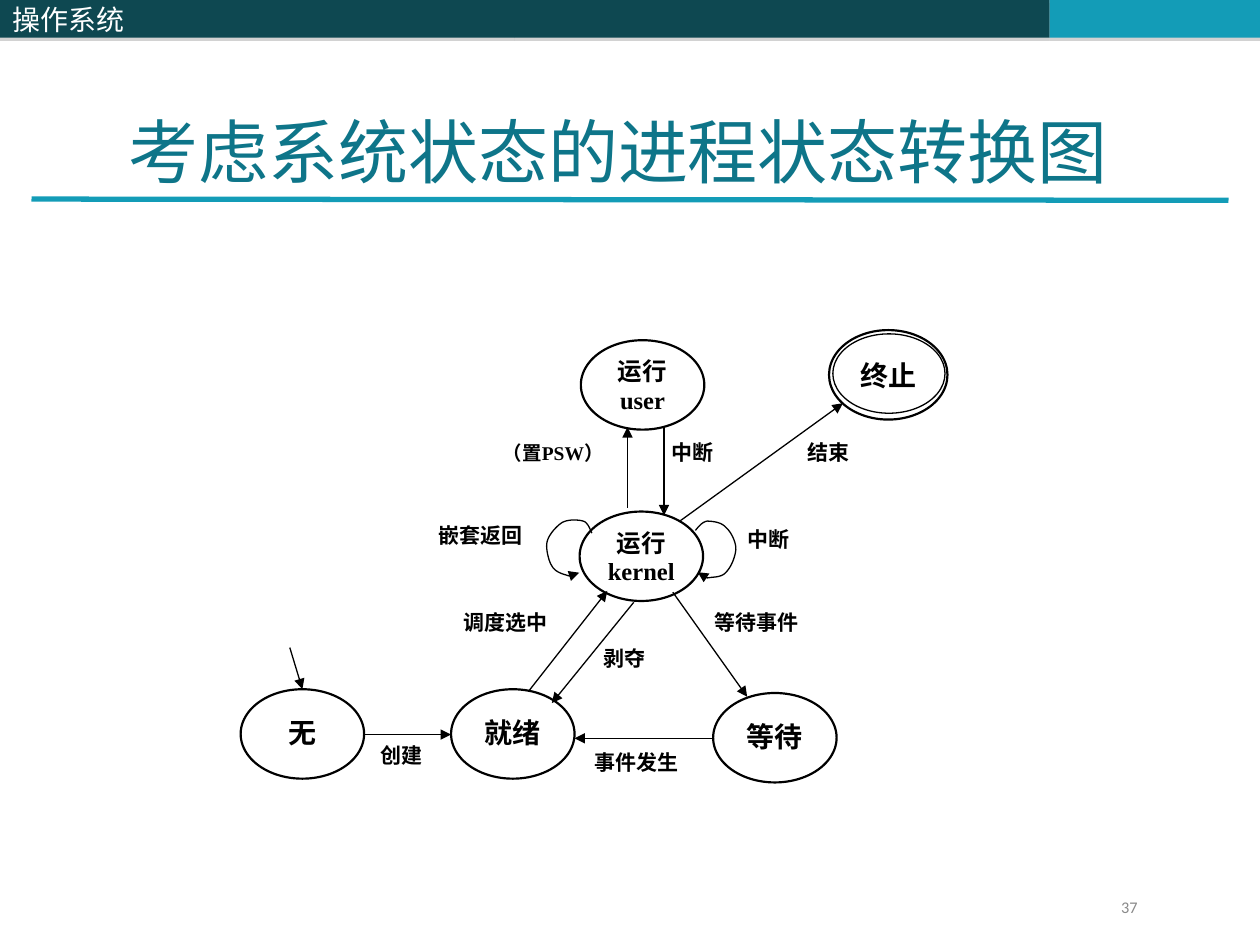
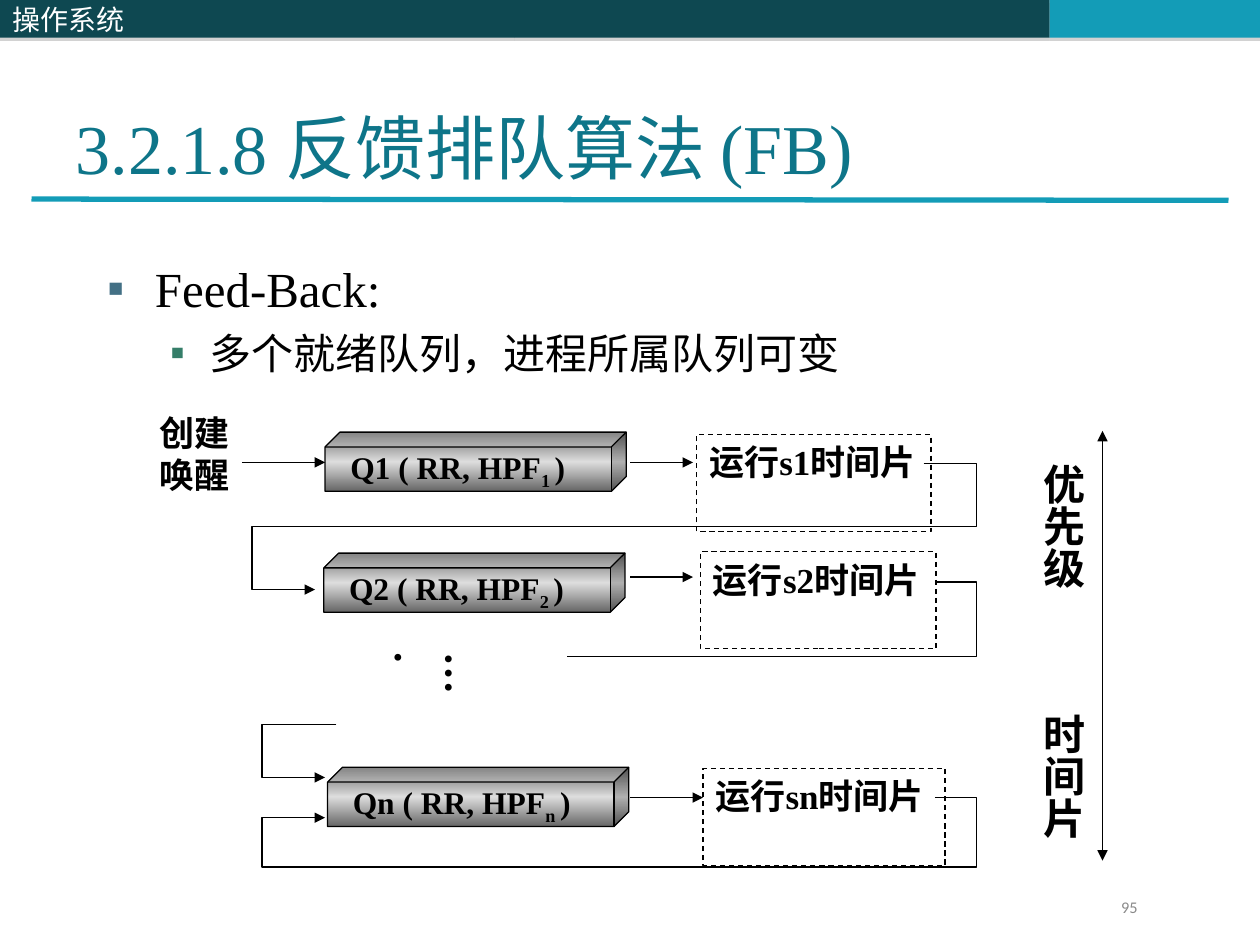
from pptx import Presentation
from pptx import util as u
from pptx.dml.color import RGBColor
from pptx.enum import dml, shapes, text
from pptx.oxml import parse_xml
from pptx.oxml.ns import nsdecls, qn

COLORS = {
    "dark": "0E4851", "teal": "139CB7", "title": "0E7589", "ink": "000000",
    "paper": "FFFFFF", "number": "898989", "shadow": "808080",
    "bullet1": "437085", "bullet2": "357E69", "metal": "666666", "shine": "DDDDDD",
}
COLS, ROWS = 100, 75
LATIN, CJK, NUMBER = "Times New Roman", "Noto Sans CJK SC", "Calibri"
LEFT, CENTER, JUSTIFY = (text.PP_ALIGN.LEFT, text.PP_ALIGN.CENTER,
                         text.PP_ALIGN.JUSTIFY)
SHAPE = shapes.MSO_SHAPE


def rgb(name):
    return RGBColor.from_string(COLORS[name])


def xml(tag, inner="", attrs=""):
    return parse_xml(f'<a:{tag} {nsdecls("a")} {attrs}>{inner}</a:{tag}>')


def color_xml(name, inner=""):
    return f'<a:srgbClr val="{COLORS[name]}">{inner}</a:srgbClr>'


class Deck:
    def __init__(self):
        self.prs = Presentation()
        self.prs.slide_width, self.prs.slide_height = u.Inches(10), u.Inches(7.5)
        self.s = None

    # Grid
    def x(self, col):
        return round(self.prs.slide_width * col / COLS)

    def y(self, row):
        return round(self.prs.slide_height * row / ROWS)

    def box(self, at):
        left, top, width, height = at
        return self.x(left), self.y(top), self.x(width), self.y(height)

    # Slide with the shared band, title rule and number
    def slide(self, layout, title, title_at, anchor, number):
        self.s = self.prs.slides.add_slide(self.prs.slide_layouts[layout])
        self.place(self.s.shapes.title, title_at)
        self.set_text(self.s.shapes.title, [[title]], 40, color="title", bold=False,
                      anchor=anchor)
        edges = (0, 40.8, 83.3, COLS)
        fills = ("dark", "dark", "teal")
        bands = [self.shape(SHAPE.RECTANGLE, (a, 0, b - a, 3), fill, None)
                 for a, b, fill in zip(edges, edges[1:], fills)]
        for band in bands:
            shade = color_xml("shadow", '<a:alpha val="35000"/>')
            band._element.spPr.find(qn("a:effectLst")).append(
                xml("outerShdw", shade, 'blurRad="0" dist="22860" dir="5400000"'))
        self.set_text(bands[0], [["操作系统"]], 16, font=CJK, color="paper",
                      bold=False, anchor=text.MSO_ANCHOR.MIDDLE)
        self.line((2.5, 15.8), (97.5, 15.9), color="teal", width=3, tail=False)
        self.textbox((88, 71, 10.3, 2.7), [[number]], 9.3, font=NUMBER,
                     color="number", bold=False, spacing=0.8)

    def place(self, sp, at):
        sp.left, sp.top, sp.width, sp.height = self.box(at)

    # Text
    def set_text(self, sp, paragraphs, size, font=LATIN, color="ink", bold=True,
                 align=LEFT, anchor=text.MSO_ANCHOR.TOP,
                 insets=(0.1, 0.05, 0.1, 0.05), spacing=None):
        tf = sp.text_frame
        tf.word_wrap, tf.auto_size = True, text.MSO_AUTO_SIZE.NONE
        tf.vertical_anchor = anchor
        (tf.margin_left, tf.margin_top,
         tf.margin_right, tf.margin_bottom) = map(u.Inches, insets)
        for i, runs in enumerate(paragraphs):
            p = tf.add_paragraph() if i else tf.paragraphs[0]
            p.alignment, p.line_spacing = align, spacing
            for words in runs:
                self.add_text(p, words, size, font, color, bold)
        return tf

    def add_text(self, p, words, size, font, color, bold):
        base = None
        if isinstance(words, tuple):
            words, base = words
        r = p.add_run()
        r.text = words
        r.font.size, r.font.bold, r.font.name = u.Pt(size), bold, font
        r.font.color.rgb = rgb(color)
        props = r._r.get_or_add_rPr()
        props.append(xml("ea", attrs=f'typeface="{CJK}"'))
        if base:
            props.set("baseline", str(base * 1000))

    def textbox(self, at, paragraphs, size, **style):
        sp = self.s.shapes.add_textbox(*self.box(at))
        self.set_text(sp, paragraphs, size, **style)
        return sp

    def vertical(self, at, words, grow=False):
        sp = self.textbox(at, [[words]], 24, insets=(0.05, 0.1, 0.05, 0.1))
        sp._element.txBody.find(qn("a:bodyPr")).set("vert", "eaVert")
        if grow:
            sp.text_frame.paragraphs[0].space_before = u.Pt(15)
            sp.text_frame.auto_size = text.MSO_AUTO_SIZE.SHAPE_TO_FIT_TEXT

    def bullets(self, at, items):
        sp = self.s.placeholders[1]
        self.place(sp, at)
        tf = self.set_text(sp, [[]] * len(items), 28)
        for p, (words, level, size, font, before, margin, hang, color) in zip(
                tf.paragraphs, items):
            p.level, p.space_before = level, u.Pt(before)
            props = p._p.get_or_add_pPr()
            props.set("marL", str(u.Inches(margin)))
            props.set("indent", str(-u.Inches(hang)))
            props.append(xml("buClr", color_xml(color)))
            props.append(xml("buFont", attrs=f'typeface="{LATIN}"'))
            props.append(xml("buChar", attrs='char="▪"'))
            self.add_text(p, words, size, font, "ink", False)

    # Shapes
    def stroke(self, sp, color="ink", width=0.75):
        sp.line.color.rgb, sp.line.width = rgb(color), u.Pt(width)

    def shape(self, kind, at, fill=None, line="ink", width=0.75):
        sp = self.s.shapes.add_shape(kind, *self.box(at))
        sp.shadow.inherit = False
        if fill:
            sp.fill.solid()
            sp.fill.fore_color.rgb = rgb(fill)
        else:
            sp.fill.background()
        if line:
            self.stroke(sp, line, width)
        else:
            sp.line.fill.background()
        return sp

    def label(self, at, words, size=12, spacing=None):
        sp = self.shape(SHAPE.RECTANGLE, at, "paper", "paper")
        self.set_text(sp, [[words]], size, align=JUSTIFY, spacing=spacing,
                      insets=(0.02, 0.01, 0.02, 0.01))

    def state(self, at, *lines, width=1.25):
        sp = self.shape(SHAPE.OVAL, at, "paper", width=width)
        single = len(lines) == 1
        self.set_text(sp, [[words] for words in lines], 16 if single else 14,
                      align=CENTER, spacing=0.96,
                      insets=(0.04, 0.12, 0.04, 0.08) if single else (0.04,) * 4)

    def queue(self, at, name):
        sp = self.shape(SHAPE.CUBE, at, "metal")
        sp.adjustments[0] = 0.25
        sp.fill.gradient()
        sp.fill.gradient_angle = 90
        stops = sp._element.spPr.find(qn("a:gradFill")).find(qn("a:gsLst"))
        for stop in list(stops):
            stops.remove(stop)
        for share, color in ((0, "metal"), (50, "shine"), (100, "metal")):
            stops.append(xml("gs", color_xml(color), f'pos="{share * 1000}"'))
        self.set_text(sp, [[f"Q{name} ( RR, HPF", (f"{name} ", -25), ")"]], 18,
                      anchor=text.MSO_ANCHOR.MIDDLE, insets=(0.2, 0.05, 0.05, 0.05))

    def time_slice(self, at, name):
        sp = self.shape(SHAPE.RECTANGLE, at)
        sp.line.dash_style = dml.MSO_LINE.DASH
        self.set_text(sp, [[f"运行s{name}时间片"]], 20)

    # Lines
    def arrowheads(self, sp, head, tail):
        ln = sp._element.spPr.find(qn("a:ln"))
        for tag, wanted in (("headEnd", head), ("tailEnd", tail)):
            if wanted:
                ln.append(xml(tag, attrs='type="triangle"'))

    def line(self, start, end, color="ink", width=0.75, head=False, tail=True):
        sp = self.s.shapes.add_connector(
            shapes.MSO_CONNECTOR.STRAIGHT, self.x(start[0]), self.y(start[1]),
            self.x(end[0]), self.y(end[1]))
        self.stroke(sp, color, width)
        sp._element.spPr.append(xml("effectLst"))
        self.arrowheads(sp, head, tail)

    def route(self, points, tail=True, turn=0):
        places = [(self.x(col), self.y(row)) for col, row in points]
        builder = self.s.shapes.build_freeform(*places[0], scale=1.0)
        builder.add_line_segments(places[1:], close=False)
        sp = builder.convert_to_shape()
        sp.shadow.inherit = False
        sp.fill.background()
        self.stroke(sp)
        sp.rotation = turn
        self.arrowheads(sp, False, tail)

    def loop(self, knots, steps=10):
        points = [knots[0]]
        for i in range(0, len(knots) - 1, 3):
            a, b, c, d = knots[i:i + 4]
            for t in (n / steps for n in range(1, steps + 1)):
                weights = ((1 - t) ** 3, 3 * t * (1 - t) ** 2,
                           3 * t * t * (1 - t), t ** 3)
                points.append(tuple(sum(w * k for w, k in zip(weights, axis))
                                    for axis in zip(a, b, c, d)))
        self.route(points, turn=3.6)


def process_states(d):
    d.slide(5, "考虑系统状态的进程状态转换图", (9.2, 8.1, 82.2, 7.7),
            text.MSO_ANCHOR.TOP, "37")
    # Transition labels
    for left, top, width, words in (
            (56.5, 48.3, 8, "等待事件"), (36.6, 48.3, 7.8, "调度选中"),
            (47.7, 51.1, 5, "剥夺"), (53.1, 34.8, 4.6, "中断"),
            (47, 59.4, 8.2, "事件发生"), (59.1, 41.7, 5, "中断"),
            (34.6, 41.4, 8, "嵌套返回"), (30, 58.8, 4.8, "创建"),
            (63.9, 34.8, 4.8, "结束")):
        d.label((left, top, width, 3.3), words)
    d.label((39.7, 35.1, 9.6, 3.3), "（置PSW）", 11.1, 0.9)
    # States
    for left, top, *lines in (
            (46.1, 27, "运行", "user"), (46, 40.6, "运行", "kernel"),
            (56.6, 55, "等待"), (35.8, 54.7, "就绪"), (19.1, 54.7, "无")):
        d.state((left, top, 9.8, 7.1), *lines)
    d.state((66.1, 26.5, 8.9, 6.3), "终止", width=0.75)
    d.shape(SHAPE.OVAL, (65.8, 26.2, 9.4, 7.1), width=1.25)
    # Transitions
    for start, end in (
            ((50.3, 47.8), (43.8, 55.8)), ((52.7, 33.9), (52.7, 40.9)),
            ((49.8, 40.3), (49.8, 33.9)), ((53.4, 47), (59.3, 55.3)),
            ((42, 54.8), (48.2, 46.9)), ((56.5, 58.6), (45.6, 58.6)),
            ((29, 58.3), (35.8, 58.3)), ((53.9, 41.4), (66.9, 32)),
            ((23, 51.4), (24, 54.7))):
        d.line(start, end)
    # Loops of the kernel state
    d.loop([(55.1, 42.2), (55.4, 41.8), (55.6, 41.5), (56, 41.4), (56.4, 41.4),
            (57.1, 41.4), (57.5, 41.8), (57.9, 42.1), (58.4, 42.9), (58.4, 43.5),
            (58.4, 44.1), (58.1, 45), (57.7, 45.4), (57.4, 45.8), (56.7, 45.8),
            (56.3, 45.9), (55.9, 45.9), (55.7, 45.7), (55.5, 45.5)])
    d.loop([(46.9, 42.2), (46.7, 41.8), (46.5, 41.4), (46.2, 41.3), (45.8, 41.2),
            (45, 41.2), (44.5, 41.5), (44.1, 41.8), (43.5, 42.5), (43.4, 43.1),
            (43.3, 43.6), (43.6, 44.6), (43.9, 45), (44.2, 45.5), (44.9, 45.6),
            (45.3, 45.7), (45.6, 45.7), (45.9, 45.6), (46.1, 45.4)])


def feedback_queues(d):
    d.slide(1, "3.2.1.8 反馈排队算法 (FB)", (5, 3, 90, 12.5),
            text.MSO_ANCHOR.BOTTOM, "95")
    d.bullets((7.5, 20, 85, 55), [
        ("Feed-Back:", 0, 28, LATIN, 7, 0.38, 0.38, "bullet1"),
        ("多个就绪队列，进程所属队列可变", 1, 24, CJK, 6, 0.81, 0.31, "bullet2")])
    # Queues with their time slices
    for name, cube, run_box, arrow_row, arrow_end in (
            ("1", (25.8, 34.3), (55.3, 34.5, 18.6), 36.7, 55),
            ("2", (25.7, 43.9), (55.6, 43.8, 18.7), 45.8, 55),
            ("n", (26, 60.9), (55.8, 61, 19.2), 63.3, 55.8)):
        d.queue((*cube, 23.9, 4.7), name)
        d.time_slice((*run_box, 7.7), name)
        d.line((50, arrow_row), (arrow_end, arrow_row))
    # Entry and skipped queues
    d.textbox((11.7, 32.2, 8.3, 7.7), [["创建唤醒"]], 20)
    d.line((19.2, 36.7), (25.8, 36.7))
    d.vertical((33.2, 50.8, 6, 5.8), "….", grow=True)
    # Feedback routes
    turn = 77.5
    d.route([(73.3, 36.8), (turn, 36.8), (turn, 41.8), (20, 41.8), (20, 46.8),
             (25, 46.8)])
    d.route([(26.7, 57.5), (20.8, 57.5), (20.8, 61.7), (25.8, 61.7)])
    d.route([(74.2, 46.2), (turn, 46.2), (turn, 52.1), (45, 52.1)], tail=False)
    d.route([(74.2, 63.3), (turn, 63.3), (turn, 68.8), (20.8, 68.8),
             (20.8, 64.9), (25.8, 64.9)])
    # Priority and time slice axis
    d.line((87.5, 34.2), (87.5, 68.3), head=True)
    for top, words in ((35.8, "优先级"), (55.6, "时间片")):
        d.vertical((76.9, top, 10, 12.7), words)


def main():
    d = Deck()
    process_states(d)
    feedback_queues(d)
    d.prs.save("out.pptx")


if __name__ == "__main__":
    main()
